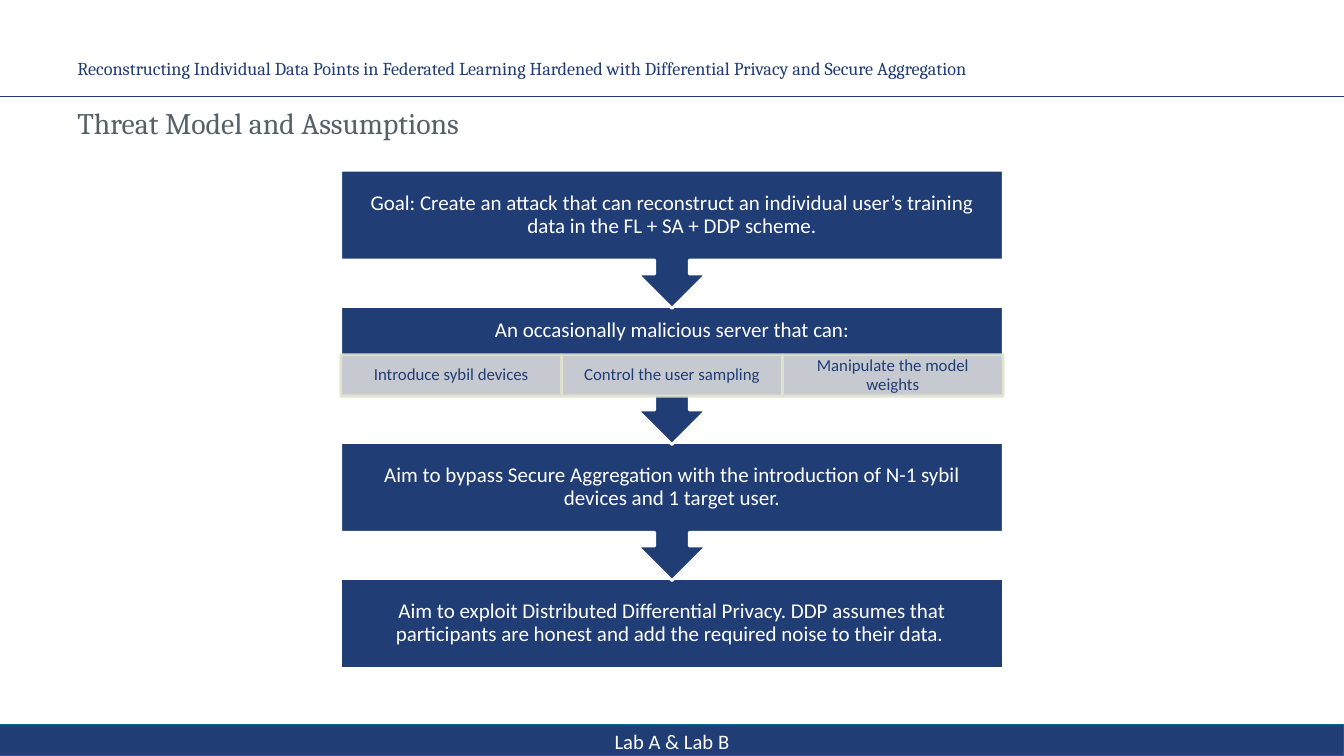
from dataclasses import dataclass

import lxml.etree
import pptx
import pptx.dml.color
import pptx.enum.shapes
import pptx.enum.text
import pptx.oxml.ns
import pptx.util

Inches = pptx.util.Inches
Pt = pptx.util.Pt
SHAPE = pptx.enum.shapes.MSO_SHAPE
ALIGN = pptx.enum.text.PP_ALIGN
ANCHOR = pptx.enum.text.MSO_ANCHOR
qn = pptx.oxml.ns.qn

COLOURS = {
    "navy": "203D75",
    "white": "FFFFFF",
    "grey": "556169",
    "footer_edge": "0069A0",
    "ability": "D9D9D9",
    "ability_edge": "DFE3CD",
}

SLIDE_WIDTH, SLIDE_HEIGHT = 13.33, 7.5
FLOW_LEFT, FLOW_TOP, FLOW_WIDTH = 3.38, 1.69, 6.57
STEP_PITCH, STEP_HEIGHT, CALLOUT_HEIGHT = 1.35, 0.89, 1.37
ABILITY_HEIGHT = 0.41
STEP_INSET = 0.12


@dataclass(frozen=True)
class Step:
    text: str
    abilities: tuple[str, ...] = ()


STEPS = (
    Step("Goal: Create an attack that can reconstruct an individual user’s training data in the FL + SA + DDP scheme."),
    Step(
        "An occasionally malicious server that can:",
        ("Introduce sybil devices", "Control the user sampling", "Manipulate the model weights"),
    ),
    Step("Aim to bypass Secure Aggregation with the introduction of N-1 sybil devices and 1 target user."),
    Step(
        "Aim to exploit Distributed Differential Privacy. DDP assumes that participants are honest "
        "and add the required noise to their data. "
    ),
)


def rgb(name: str) -> pptx.dml.color.RGBColor:
    return pptx.dml.color.RGBColor.from_string(COLOURS[name])


def write(shape, text: str, *, size: float, colour: str, font: str = "Calibri",
          align=ALIGN.CENTER, anchor=ANCHOR.MIDDLE, spacing: float = 0.9,
          insets: tuple[float, float, float, float] = (0.1, 0.05, 0.1, 0.05)) -> None:
    frame = shape.text_frame
    frame.word_wrap = True
    frame.vertical_anchor = anchor
    frame.margin_left, frame.margin_top, frame.margin_right, frame.margin_bottom = map(Inches, insets)
    paragraph = frame.paragraphs[0]
    paragraph.alignment = align
    paragraph.line_spacing = spacing
    run = paragraph.add_run()
    run.text = text
    run.font.size = Pt(size)
    run.font.name = font
    run.font.color.rgb = rgb(colour)


def add_block(slide, kind, left: float, top: float, width: float, height: float, *,
              fill: str, edge: str, edge_width: float, opacity: int = 100):
    block = slide.shapes.add_shape(kind, Inches(left), Inches(top), Inches(width), Inches(height))
    block.shadow.inherit = False
    block.fill.solid()
    block.fill.fore_color.rgb = rgb(fill)
    block.line.color.rgb = rgb(edge)
    block.line.width = Pt(edge_width)
    if opacity < 100:
        for colour in block._element.spPr.iter(qn("a:srgbClr")):
            lxml.etree.SubElement(colour, qn("a:alpha"), val=str(opacity * 1000))
    return block


def add_step(slide, step: Step, top: float, is_last: bool) -> None:
    kind = SHAPE.RECTANGLE if is_last else SHAPE.DOWN_ARROW_CALLOUT
    height = STEP_HEIGHT if is_last else CALLOUT_HEIGHT
    block = add_block(slide, kind, FLOW_LEFT, top, FLOW_WIDTH, height,
                      fill="navy", edge="white", edge_width=2)
    bottom_inset = STEP_INSET + (ABILITY_HEIGHT if step.abilities else 0)
    write(block, step.text, size=15, colour="white",
          insets=(STEP_INSET, STEP_INSET, STEP_INSET, bottom_inset))
    for column, ability in enumerate(step.abilities):
        width = FLOW_WIDTH / len(step.abilities)
        cell = add_block(slide, SHAPE.RECTANGLE, FLOW_LEFT + column * width,
                         top + STEP_HEIGHT - ABILITY_HEIGHT, width, ABILITY_HEIGHT,
                         fill="ability", edge="ability_edge", edge_width=2, opacity=90)
        write(cell, ability, size=12, colour="navy", insets=(0.09, 0.02, 0.09, 0.02))


def add_heading(slide, text: str, top: float, width: float, height: float, **text_format) -> None:
    heading = slide.shapes.add_textbox(Inches(0.67), Inches(top), Inches(width), Inches(height))
    write(heading, text, font="Cambria", align=ALIGN.LEFT, **text_format)


def main() -> None:
    deck = pptx.Presentation()
    deck.slide_width, deck.slide_height = Inches(SLIDE_WIDTH), Inches(SLIDE_HEIGHT)
    slide = deck.slides.add_slide(deck.slide_layouts[6])

    header_rule = slide.shapes.add_connector(
        pptx.enum.shapes.MSO_CONNECTOR.STRAIGHT,
        Inches(0), Inches(0.96), Inches(SLIDE_WIDTH), Inches(0.96))
    header_rule.line.color.rgb = rgb("navy")
    header_rule.line.width = Pt(0.5)
    lxml.etree.SubElement(header_rule._element.spPr, qn("a:effectLst"))

    footer = add_block(slide, SHAPE.RECTANGLE, 0, 7.19, SLIDE_WIDTH, 0.31,
                       fill="navy", edge="footer_edge", edge_width=0.75)
    write(footer, "Lab A & Lab B", size=14.7, colour="white", spacing=1.0,
          insets=(0.1, 0.02, 0.1, 0))

    add_heading(
        slide,
        "Reconstructing Individual Data Points in Federated Learning Hardened with "
        "Differential Privacy and Secure Aggregation",
        0.47, 10.76, 0.45, size=13, colour="navy")
    add_heading(slide, "Threat Model and Assumptions", 1.03, 12.13, 0.42,
                size=21.3, colour="grey", anchor=ANCHOR.TOP)

    last = len(STEPS) - 1
    for index in range(last, -1, -1):
        add_step(slide, STEPS[index], FLOW_TOP + index * STEP_PITCH, index == last)

    deck.save("out.pptx")


if __name__ == "__main__":
    main()
